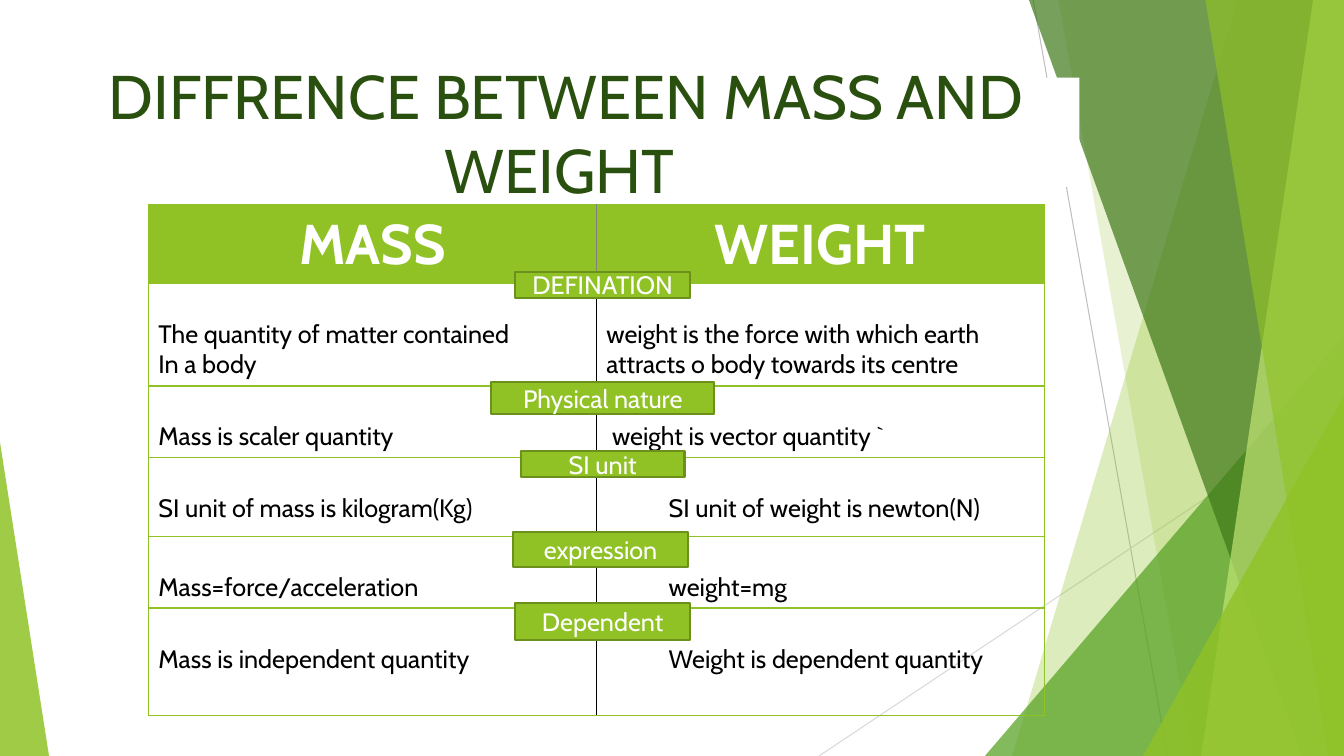
"""Build a slide that compares mass and weight in a table with category labels."""
from lxml.etree import SubElement
from pptx import Presentation
from pptx.dml.color import RGBColor
from pptx.enum.shapes import MSO_CONNECTOR, MSO_SHAPE
from pptx.enum.text import MSO_ANCHOR, PP_ALIGN
from pptx.oxml import parse_xml
from pptx.oxml.ns import nsdecls, qn
from pptx.util import Pt

GREEN = "90C226"


def paint(fill, color, opacity=100):
    fill.solid()
    fill.fore_color.rgb = RGBColor.from_string(color)
    if opacity < 100:
        color_node = fill._xPr.find(qn("a:solidFill"))[0]
        SubElement(color_node, qn("a:alpha"), val=str(opacity * 1000))


def write(text_frame, text, size, color, alignment=PP_ALIGN.CENTER, bold=False):
    text_frame.word_wrap = True
    text_frame.text = text
    font_format = {"name": "Cabin", "size": Pt(size), "bold": bold}
    for paragraph in text_frame.paragraphs:
        paragraph.alignment = alignment
        font = paragraph.runs[0].font
        for name, value in font_format.items():
            setattr(font, name, value)
        paint(font.fill, color)


presentation = Presentation()
presentation.slide_width, presentation.slide_height = Pt(960), Pt(540)
slide = presentation.slides.add_slide(presentation.slide_layouts[6])
shapes = slide.shapes

for ends, color in [((738, 0, 834, 540), "BFBFBF"), ((960, 290, 585, 540), "D9D9D9")]:
    connector = shapes.add_connector(MSO_CONNECTOR.STRAIGHT, *map(Pt, ends))
    connector.line.width = Pt(0.75)
    paint(connector.line.fill, color)
    SubElement(connector._element.spPr, qn("a:effectLst"))

# Bands give the top and bottom x of the left edge; triangles give a box and apex.
decorations = [
    ("band", (884, 723), GREEN, 30),
    ("band", (756, 852), GREEN, 20),
    ("triangle", (703.5, 240, 256.5, 300, 1), "54A021", 72),
    ("band", (735, 929.5), "3F7819", 70),
    ("band", (938, 858), "C0E474", 70),
    ("band", (861, 949), GREEN, 65),
    ("triangle", (816.5, 283, 143.5, 257, 1), GREEN, 80),
    ("triangle", (0, 316, 35, 224, 0), GREEN, 85),
]
for kind, geometry, color, opacity in decorations:
    if kind == "band":
        top_x, bottom_x = geometry
        builder = shapes.build_freeform(top_x, 0, scale=Pt(1))
        builder.add_line_segments([(960, 0), (960, 540), (bottom_x, 540)])
        shape = builder.convert_to_shape()
    else:
        *box, apex = geometry
        shape = shapes.add_shape(MSO_SHAPE.ISOSCELES_TRIANGLE, *map(Pt, box))
        shape.adjustments[0] = apex
    paint(shape.fill, color, opacity)
    shape.line.fill.background()
    shape.shadow.inherit = False

rows = [
    ("MASS", "WEIGHT", 55, 0),
    ("The quantity of matter contained\nIn a body",
     "weight is the force with which earth attracts o body towards its centre", 73.5, 0),
    ("Mass is scaler quantity", "weight is vector quantity `", 50.5, 4),
    ("SI unit of mass is kilogram(Kg)", "SI unit of weight is newton(N)", 56.5, 44.5),
    ("Mass=force/acceleration", "weight=mg", 50.5, 44.5),
    ("Mass is independent quantity", "Weight is dependent quantity", 76.5, 44.5),
]
table = shapes.add_table(len(rows), 2, Pt(106), Pt(146.5), Pt(640), Pt(362.5)).table
table.first_row = table.horz_banding = False
for row_index, (mass, weight, height, indent) in enumerate(rows):
    table.rows[row_index].height = Pt(height)
    header = row_index == 0
    middle = "808080" if header else "000000"
    for column_index, text in enumerate((mass, weight)):
        cell = table.cell(row_index, column_index)
        sides = {"lnL": middle if column_index else GREEN,
                 "lnR": GREEN if column_index else middle,
                 "lnT": GREEN, "lnB": GREEN}
        for side, color in sides.items():
            cell._tc.get_or_add_tcPr().append(parse_xml(
                f'<a:{side} {nsdecls("a")} w="12700"><a:solidFill>'
                f'<a:srgbClr val="{color}"/></a:solidFill></a:{side}>'))
        if header:
            paint(cell.fill, GREEN)
            write(cell.text_frame, text, 40, "FFFFFF", bold=True)
        else:
            cell.fill.background()
            cell.margin_top = Pt(25.5)
            cell.margin_left = Pt(7.2 + indent * column_index)
            write(cell.text_frame, text, 18, "000000", PP_ALIGN.LEFT)

boxes = [
    ("DIFFRENCE BETWEEN MASS AND WEIGHT ", (38, 55.5, 733, 78), 44, "2A5010", "FFFFFF", None),
]
labels = [
    ("DEFINATION", (368, 194, 125, 19)),
    ("Physical nature", (351, 273, 159, 23)),
    ("SI unit", (372, 322, 117, 19)),
    ("expression", (366.5, 380, 125, 25)),
    ("Dependent", (368, 431, 125, 26)),
]
boxes += [(text, box, 18, "FFFFFF", GREEN, "6B901C") for text, box in labels]
for text, box, size, color, fill, outline in boxes:
    shape = shapes.add_shape(MSO_SHAPE.RECTANGLE, *map(Pt, box))
    shape.shadow.inherit = False
    paint(shape.fill, fill)
    if outline:
        shape.line.width = Pt(1.5)
        paint(shape.line.fill, outline)
    else:
        shape.line.fill.background()
    shape.text_frame.vertical_anchor = MSO_ANCHOR.MIDDLE
    write(shape.text_frame, text, size, color)

presentation.save("out.pptx")
